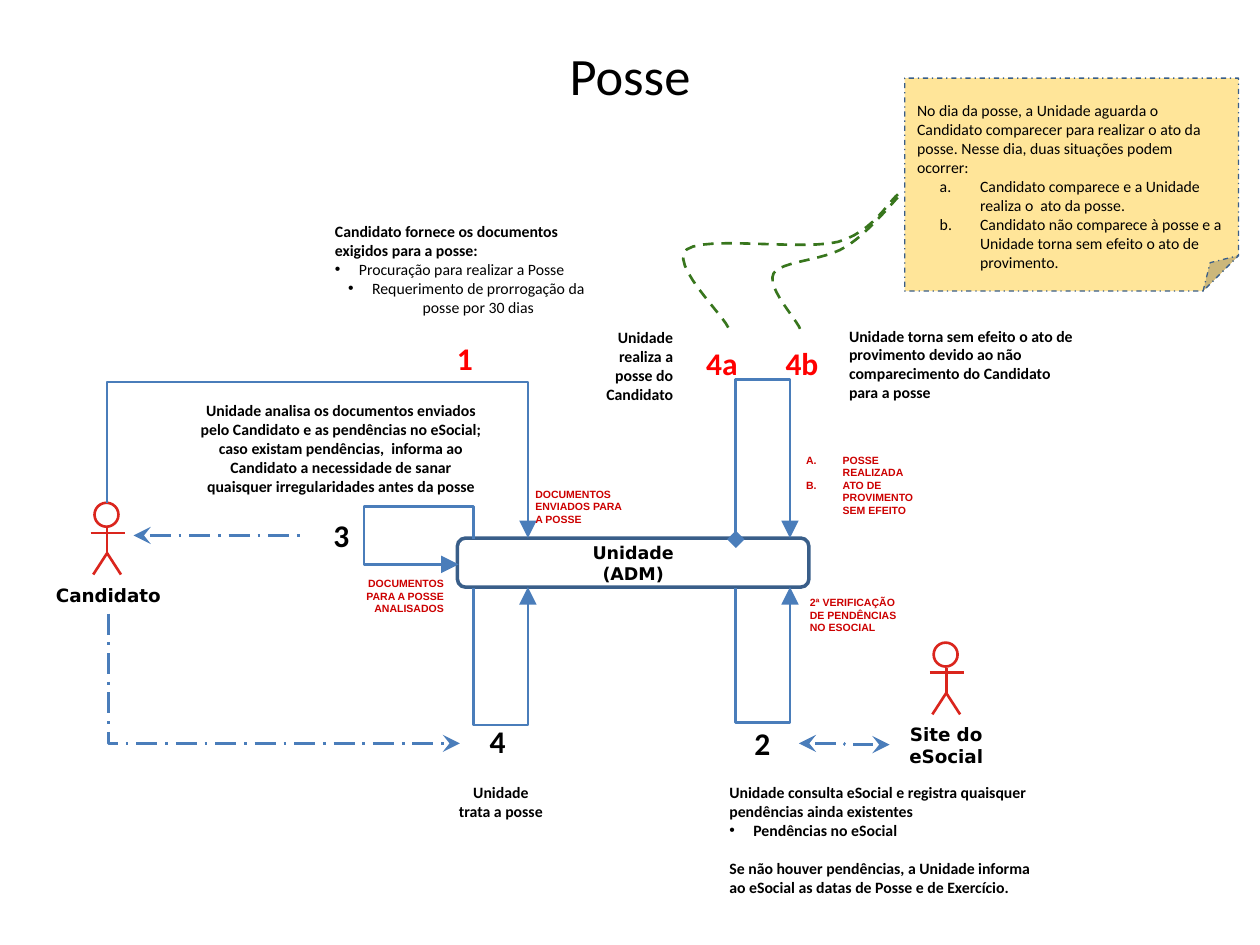
import pptx
import pptx.util
from pptx.util import Inches
from pptx.dml.color import RGBColor
from pptx.enum.dml import MSO_LINE
from pptx.enum.shapes import MSO_CONNECTOR, MSO_SHAPE
from pptx.enum.text import MSO_ANCHOR, PP_ALIGN
from pptx.oxml.ns import qn
from lxml import etree

HUES = {"black": "000000", "red": "FF0000", "tag": "CC0000", "actor": "DA251D",
        "flow": "4A7DBA", "edge": "395E89", "note": "FFE599", "green": "38761D",
        "white": "FFFFFF"}
LEFT, MID, RIGHT = PP_ALIGN.LEFT, PP_ALIGN.CENTER, PP_ALIGN.RIGHT


def write(shape, items, size=9, hue="black", align=LEFT, bold=True,
          face="Calibri", pad=0.05):
    """Fill a shape with paragraphs; an item is text or (mark, indent, hang, text)."""
    frame = shape.text_frame
    frame.word_wrap = True
    frame.margin_left = frame.margin_right = Inches(0.1)
    frame.margin_top = frame.margin_bottom = Inches(pad)
    for i, item in enumerate(items):
        para = frame.paragraphs[0] if i == 0 else frame.add_paragraph()
        if isinstance(item, tuple):
            mark, dent, hang, item = item
            props = para._p.get_or_add_pPr()
            props.set("marL", str(Inches(dent)))
            props.set("indent", str(-Inches(hang)))
            tint = etree.SubElement(props, qn("a:buClr"))
            etree.SubElement(tint, qn("a:srgbClr"), val=HUES[hue])
            etree.SubElement(props, qn("a:buFont"), typeface="Arial")
            if mark == "•":
                etree.SubElement(props, qn("a:buChar"), char=mark)
            else:
                etree.SubElement(props, qn("a:buAutoNum"), type=mark)
        para.text = item
        para.alignment = align
        para.font.size = pptx.util.Pt(size)
        para.font.name = face
        para.font.bold = bold
        para.font.color.rgb = RGBColor.from_string(HUES[hue])
    return frame


def stroke(shape, hue, width=1.5, dash=None, head=None, tail=None):
    """Set the line of a shape or connector, and drop its shadow."""
    shape.line.color.rgb = RGBColor.from_string(HUES[hue])
    shape.line.width = pptx.util.Pt(width)
    if dash:
        shape.line.dash_style = dash
    ln = shape.line._get_or_add_ln()
    for end, kind in (("a:headEnd", head), ("a:tailEnd", tail)):
        if kind:
            etree.SubElement(ln, qn(end), type=kind, w="lg", len="lg")
    etree.SubElement(shape._element.spPr, qn("a:effectLst"))


deck = pptx.Presentation()
deck.slide_width, deck.slide_height = Inches(10), Inches(7.5)
slide = deck.slides.add_slide(deck.slide_layouts[5])
shapes = slide.shapes

# Title
title = shapes.title
title.left, title.top = Inches(0.5), Inches(0.3)
title.width, title.height = Inches(9), Inches(0.58)
write(title, ["Posse"], 30, align=MID, bold=False)
title.text_frame.vertical_anchor = MSO_ANCHOR.MIDDLE

# Central unit
unit = shapes.add_shape(MSO_SHAPE.ROUNDED_RECTANGLE, Inches(3.63), Inches(4.27),
                        Inches(2.79), Inches(0.39))
unit.fill.background()
stroke(unit, "edge", 2)
write(unit, ["Unidade", "(ADM)"], 10, align=MID, face="DejaVu Sans")
unit.text_frame.vertical_anchor = MSO_ANCHOR.MIDDLE

# Actors: head centre x, head top, name, name box
LIMBS = [(0, 0.2, 0, 0.4), (-0.13, 0.24, 0, 0.24), (0.14, 0.24, 0, 0.24),
         (0, 0.4, -0.11, 0.57), (0, 0.4, 0.11, 0.57)]
for x, y, name, box in [
        (0.85, 3.99, "Candidato", (0.34, 4.59, 1.04, 0.28)),
        (7.51, 5.1, "Site do eSocial", (7.06, 5.69, 0.9, 0.43))]:
    actor = shapes.add_group_shape().shapes
    face = actor.add_shape(MSO_SHAPE.OVAL, Inches(x - 0.1), Inches(y),
                           Inches(0.19), Inches(0.19))
    face.fill.solid()
    face.fill.fore_color.rgb = RGBColor.from_string(HUES["white"])
    stroke(face, "actor")
    for x1, y1, x2, y2 in LIMBS:
        limb = actor.add_connector(MSO_CONNECTOR.STRAIGHT, Inches(x + x1), Inches(y + y1),
                                   Inches(x + x2), Inches(y + y2))
        stroke(limb, "actor")
    label = actor.add_textbox(*map(Inches, box))
    write(label, [name], 10.5, align=MID, face="DejaVu Sans")

# Flows that leave vertically: start, end, turning y, turning x, dash, head, tail
LONG = MSO_LINE.LONG_DASH_DOT
for (x1, y1), (x2, y2), rail, side, dash, head, tail in [
        ((3.76, 4.28), (3.64, 4.48), 4.02, 2.89, None, None, "triangle"),
        ((0.86, 4.87), (3.65, 5.9), None, None, LONG, None, "stealth"),
        ((0.85, 3.99), (4.19, 4.27), 3.03, None, None, None, "triangle"),
        ((3.76, 4.67), (4.19, 4.66), 5.77, None, None, None, "triangle"),
        ((5.84, 4.28), (6.27, 4.27), 2.99, None, None, "diamond", "triangle"),
        ((5.84, 4.67), (6.27, 4.66), 5.75, None, None, None, "triangle")]:
    # The frame lies on its side: its width runs along y, its height along x
    wide, high = abs(y2 - y1), abs(x2 - x1)
    left, top = (x1 + x2 - wide) / 2, (y1 + y2 - high) / 2
    flow = shapes.add_connector(MSO_CONNECTOR.ELBOW, Inches(left), Inches(top),
                                Inches(left + wide), Inches(top + high))
    frame = flow._element.spPr.find(qn("a:xfrm"))
    frame.set("rot", str(270 * 60000))
    frame.set("flipH", str(int(y2 > y1)))
    frame.set("flipV", str(int(x2 < x1)))
    turns = []
    if rail is not None:
        turns.append((rail - y1) / (y2 - y1))
    if side is not None:
        turns.append((side - x1) / (x2 - x1))
    geom = flow._element.spPr.find(qn("a:prstGeom"))
    geom.set("prst", f"bentConnector{2 + len(turns)}")
    guides = geom.find(qn("a:avLst"))
    for i, turn in enumerate(turns, 1):
        etree.SubElement(guides, qn("a:gd"), name=f"adj{i}",
                         fmla=f"val {round(turn * 100000)}")
    stroke(flow, "flow", dash=dash, head=head, tail=tail)

# Level flows
for x1, y1, x2, y2, tail in [(1.06, 4.25, 2.41, 4.25, None),
                             (6.34, 5.9, 7.06, 5.91, "stealth")]:
    flow = shapes.add_connector(MSO_CONNECTOR.ELBOW, Inches(x1), Inches(y1),
                                Inches(x2), Inches(y2))
    stroke(flow, "flow", dash=LONG, head="stealth", tail=tail)

# Step numbers
for x, y, w, h, step, hue in [
        (3.46, 2.64, 0.46, 0.4, "1", "red"), (5.82, 5.7, 0.46, 0.4, "2", "black"),
        (2.48, 4.05, 0.46, 0.4, "3", "black"), (3.7, 5.68, 0.5, 0.34, "4", "black"),
        (5.48, 2.68, 0.5, 0.34, "4a", "red"), (6.11, 2.68, 0.51, 0.34, "4b", "red")]:
    box = shapes.add_textbox(Inches(x), Inches(y), Inches(w), Inches(h))
    write(box, [step], 18, hue, MID)

# Step descriptions
for x, y, w, h, align, text in [
        (4.5, 2.55, 0.94, 0.66, RIGHT, "Unidade realiza a posse do Candidato"),
        (1.47, 3.13, 2.47, 0.87, MID,
         "Unidade analisa os documentos enviados pelo Candidato e as pendências no "
         "eSocial; caso existam pendências,  informa ao Candidato a necessidade de "
         "sanar quaisquer irregularidades antes da posse"),
        (6.64, 2.54, 2.04, 0.69, LEFT,
         "Unidade torna sem efeito o ato de provimento devido ao não comparecimento "
         "do Candidato para a posse"),
        (3.54, 6.16, 0.87, 0.66, MID, "Unidade trata a posse")]:
    box = shapes.add_textbox(Inches(x), Inches(y), Inches(w), Inches(h))
    write(box, [text], align=align)

# Descriptions with bullets
box = shapes.add_textbox(Inches(2.56), Inches(1.71), Inches(2.28), Inches(0.92))
paras = write(box, [
    "Candidato fornece os documentos exigidos para a posse:",
    ("•", 0.19, 0.19, "Procuração para realizar a Posse"),
    ("•", 0.19, 0.19, "Requerimento de prorrogação da posse por 30 dias")]).paragraphs
for para in paras[1:]:
    para.font.bold = False
paras[2].alignment = MID

box = shapes.add_textbox(Inches(5.69), Inches(6.16), Inches(2.62), Inches(1.05))
paras = write(box, [
    "Unidade consulta eSocial e registra quaisquer pendências ainda existentes",
    ("•", 0.19, 0.19, "Pendências no eSocial"),
    "Se não houver pendências, a Unidade informa ao eSocial as datas de Posse e de "
    "Exercício."]).paragraphs
paras[2].space_before = pptx.util.Pt(11)

# Document tags
for x, y, w, h, align, items in [
        (4.15, 3.77, 0.89, 0.45, LEFT, ["DOCUMENTOS ENVIADOS PARA A POSSE"]),
        (2.73, 4.48, 0.89, 0.45, RIGHT, ["DOCUMENTOS PARA A POSSE ANALISADOS"]),
        (6.33, 4.63, 0.9, 0.43, LEFT, ["2ª VERIFICAÇÃO DE PENDÊNCIAS NO ESOCIAL"]),
        (6.09, 3.5, 1.3, 0.66, LEFT,
         [("alphaUcPeriod", 0.5, 0.29, "POSSE REALIZADA"),
          ("alphaUcPeriod", 0.5, 0.29, "ATO DE PROVIMENTO SEM EFEITO")])]:
    box = shapes.add_textbox(Inches(x), Inches(y), Inches(w), Inches(h))
    write(box, items, 6, "tag", align, face="Arial", pad=0.1)

# Dashed curves from the two outcomes to the note, as Bézier knots and handles
for knots in [
        [(5.78, 2.6), (5.73, 2.49), (5.31, 2.09), (5.45, 1.98), (5.6, 1.87),
         (6.37, 1.99), (6.65, 1.92), (6.93, 1.84), (7.05, 1.6), (7.13, 1.54)],
        [(6.35, 2.61), (6.32, 2.53), (6.08, 2.28), (6.14, 2.17), (6.2, 2.07),
         (6.54, 2.07), (6.71, 1.96), (6.88, 1.86), (7.09, 1.6), (7.16, 1.53)]]:
    pen = shapes.build_freeform(*map(Inches, knots[0]))
    dots = []
    for i in range(0, 9, 3):
        for t in (n / 12 for n in range(1, 13)):
            mix = ((1 - t) ** 3, 3 * t * (1 - t) ** 2, 3 * t * t * (1 - t), t ** 3)
            dots.append([Inches(sum(m * k[axis] for m, k in zip(mix, knots[i:i + 4])))
                         for axis in (0, 1)])
    pen.add_line_segments(dots, close=False)
    curve = pen.convert_to_shape()
    curve.fill.background()
    stroke(curve, "green", dash=MSO_LINE.DASH)

# Note
note = shapes.add_shape(MSO_SHAPE.FOLDED_CORNER, Inches(7.18), Inches(0.62),
                        Inches(2.65), Inches(1.69))
note.fill.solid()
note.fill.fore_color.rgb = RGBColor.from_string(HUES["note"])
stroke(note, "edge", 0.75, MSO_LINE.DASH_DOT)
frame = write(note, [
    "No dia da posse, a Unidade aguarda o Candidato comparecer para realizar o ato da "
    "posse. Nesse dia, duas situações podem ocorrer:",
    ("alphaLcPeriod", 0.5, 0.32, "Candidato comparece e a Unidade realiza o  ato da posse."),
    ("alphaLcPeriod", 0.5, 0.32, "Candidato não comparece à posse e a Unidade torna sem "
     "efeito o ato de provimento.")], bold=False)
frame.vertical_anchor = MSO_ANCHOR.TOP
frame.margin_top = Inches(0.18)

deck.save("out.pptx")
